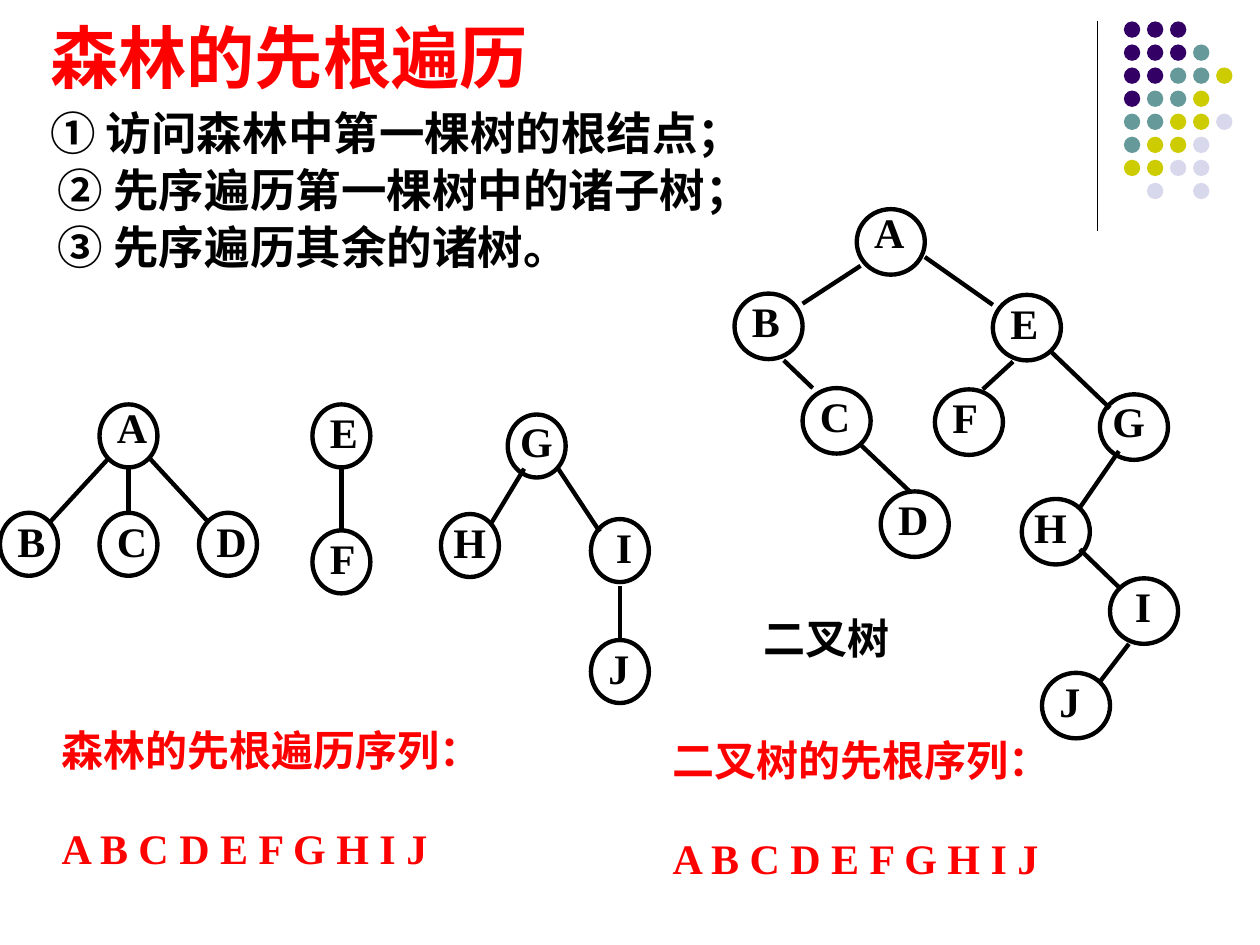
from lxml.etree import SubElement
from pptx import Presentation
from pptx.dml.color import RGBColor
from pptx.enum.shapes import MSO_CONNECTOR as Line, MSO_SHAPE as Shape
from pptx.oxml.ns import qn
from pptx.util import Inches, Pt

prs = Presentation()
prs.slide_width, prs.slide_height = Inches(10), Inches(7.5)
slide = prs.slides.add_slide(prs.slide_layouts[6])
shapes = slide.shapes


def rgb(value):
    return RGBColor.from_string(value)


def add_text(left, top, width, height, lines):
    """Each line is (text, colour, font format, paragraph format)."""
    frame = shapes.add_textbox(*map(Inches, (left, top, width, height))).text_frame
    frame.word_wrap = True
    for i, (text, colour, font_format, layout) in enumerate(lines):
        paragraph = frame.paragraphs[0] if i == 0 else frame.add_paragraph()
        run = paragraph.add_run()
        run.text = text
        run.font.color.rgb = rgb(colour)
        for target, values in ((run.font, font_format), (paragraph, layout)):
            for name, value in values.items():
                setattr(target, name, value)
        SubElement(run.font._element, qn("a:ea"), typeface="Noto Sans CJK SC")
    return frame


BLACK, RED = "000000", "FF0000"
HEADING = {"name": "Arial", "size": Pt(39), "bold": True}
STEP = {"name": "Arial", "size": Pt(26), "bold": True}
LABEL = {"name": "Times New Roman", "size": Pt(24), "bold": True}

# Corner dots
DOT_COLOURS = {"P": "330066", "T": "669999", "Y": "CCCC00", "L": "D8D8EC"}
DOT_ROWS = ["PPP", "PPPT", "PPTTY", "PTTY", "TTYYL", "TYYL", "YYLL", ".L.L"]
for row, codes in enumerate(DOT_ROWS):
    for column, code in enumerate(codes):
        if code == ".":
            continue
        dot = shapes.add_shape(Shape.OVAL, Inches(8.92 + column * 0.183),
                               Inches(0.17 + row * 0.183), Inches(0.13), Inches(0.13))
        dot.shadow.inherit = False
        dot.fill.solid()
        dot.fill.fore_color.rgb = rgb(DOT_COLOURS[code])
        dot.line.fill.background()

# Heading and traversal steps
steps = [("① 访问森林中第一棵树的根结点；", 0.1, 9),
         ("② 先序遍历第一棵树中的诸子树；", 0.16, 6.5),
         ("③ 先序遍历其余的诸树。", 0.16, 6.5)]
explanation = add_text(0.2, 0.18, 8.4, 2.4, [
    ("森林的先根遍历", RED, HEADING, {"line_spacing": 0.84}),
    *[(text, BLACK, STEP, {"line_spacing": 0.84, "space_before": Pt(gap)})
      for text, _, gap in steps],
])
for paragraph, indent in zip(explanation.paragraphs, [0.1] + [s[1] for s in steps]):
    paragraph._p.get_or_add_pPr().set("marL", str(Inches(indent)))

# Resulting sequences and the caption of the binary tree
for title, left, top, width in [("森林的先根遍历序列：", 0.39, 5.7, 4.68),
                                ("二叉树的先根序列：", 5.24, 5.78, 3.35)]:
    add_text(left, top, width, 1.31, [
        (title, RED, LABEL, {}),
        ("A B C D E F G H I J", RED, LABEL, {"space_before": Pt(27)}),
    ])
add_text(5.96, 4.81, 1.69, 0.5, [("二叉树", BLACK, LABEL, {})])

# Nodes: size, then the left and top of each letter's circle
forest_nodes = {
    "A": (0.79, 3.21), "B": (0, 4.07), "C": (0.79, 4.07), "D": (1.58, 4.07),
    "E": (2.48, 3.21), "F": (2.48, 4.21),
    "G": (4.03, 3.29), "H": (3.5, 4.08), "I": (4.69, 4.12), "J": (4.69, 5.08),
}
binary_nodes = {
    "A": (6.8, 1.66), "B": (5.83, 2.33), "C": (6.37, 3.08), "D": (6.99, 3.9),
    "E": (7.88, 2.34), "F": (7.42, 3.09), "G": (8.73, 3.13), "H": (8.11, 3.96),
    "I": (8.81, 4.59), "J": (8.27, 5.34),
}
LABEL_SHIFT = {"G": 0, "H": 0, "I": 0.1}
for nodes, width, height in [(forest_nodes, 0.46, 0.5), (binary_nodes, 0.54, 0.52)]:
    for letter, (left, top) in nodes.items():
        node = shapes.add_shape(Shape.OVAL, *map(Inches, (left, top, width, height)))
        node.shadow.inherit = False
        node.fill.background()
        node.line.color.rgb = rgb(BLACK)
        node.line.width = Pt(2.5)
        is_root = letter in "AG"
        add_text(left + LABEL_SHIFT.get(letter, 0.04),
                 top - (0.04 if letter == "G" else 0.07),
                 width, 0.5 if is_root else 0.54,
                 [(letter, BLACK, LABEL, {"line_spacing": 1.0 if is_root else 1.1})])

# Tree branches and the divider beside the dots
forest_branches = [
    (0.86, 3.64, 0.4, 4.14), (1.02, 3.71, 1.02, 4.07), (1.19, 3.64, 1.65, 4.14),
    (2.71, 3.71, 2.71, 4.21),
    (4.16, 3.72, 3.9, 4.15), (4.43, 3.72, 4.76, 4.22), (4.92, 4.65, 4.92, 5.08),
]
binary_branches = [
    (6.83, 2.11, 6.37, 2.41), (7.34, 2.04, 7.88, 2.42), (6.22, 2.86, 6.45, 3.08),
    (6.83, 3.53, 7.22, 3.9), (8.04, 2.87, 7.8, 3.09), (8.34, 2.79, 8.81, 3.24),
    (8.88, 3.58, 8.57, 4.03), (8.57, 4.36, 8.88, 4.66), (8.96, 5.11, 8.73, 5.41),
]
divider = (8.71, 0.17, 8.71, 1.83)
for ends in [divider, *forest_branches, *binary_branches]:
    branch = shapes.add_connector(Line.STRAIGHT, *map(Inches, ends))
    branch.line.color.rgb = rgb(BLACK)
    branch.line.width = Pt(0.75 if ends == divider else 2.5)
    SubElement(branch._element.spPr, qn("a:effectLst"))

prs.save("out.pptx")
